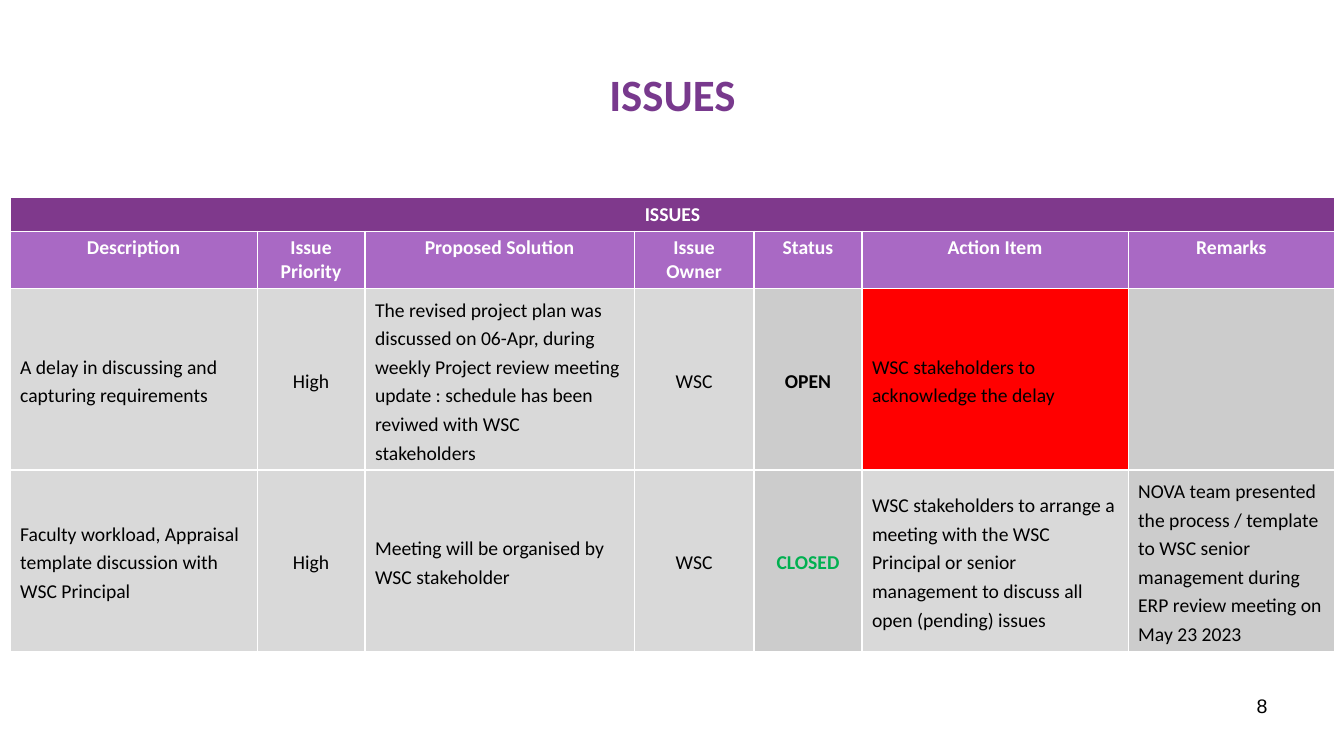
"""Build the project issues slide with its status table."""
import pptx
import pptx.dml.color
import pptx.enum.text
import pptx.oxml
import pptx.oxml.ns
import pptx.util

Inches = pptx.util.Inches
RGBColor = pptx.dml.color.RGBColor
ALIGN = pptx.enum.text.PP_ALIGN
ANCHOR = pptx.enum.text.MSO_ANCHOR

TITLE_PURPLE = RGBColor(0x78, 0x39, 0x8D)
BANNER_PURPLE = RGBColor(0x7F, 0x39, 0x8C)
HEADER_PURPLE = RGBColor(0xA9, 0x69, 0xC4)
LIGHT_GRAY = RGBColor(0xD9, 0xD9, 0xD9)
MID_GRAY = RGBColor(0xCC, 0xCC, 0xCC)
RED = RGBColor(0xFF, 0x00, 0x00)
GREEN = RGBColor(0x00, 0xB0, 0x50)
BLACK = RGBColor(0x00, 0x00, 0x00)
WHITE = RGBColor(0xFF, 0xFF, 0xFF)

COLUMN_WIDTHS = [2.45, 1.07, 2.67, 1.19, 1.07, 2.64, 2.05]
ROW_HEIGHTS = [0.33, 0.57, 1.8, 1.8]
CENTERED_COLUMNS = (1, 3, 4)
STATUS_COLUMN, ACTION_COLUMN, REMARKS_COLUMN = 4, 5, 6
STATUS_COLORS = {"OPEN": BLACK, "CLOSED": GREEN}
ROWS = [
    ["ISSUES", "", "", "", "", "", ""],
    ["Description", "Issue Priority", "Proposed Solution", "Issue Owner",
     "Status", "Action Item", "Remarks"],
    ["A delay in discussing and capturing requirements", "High",
     "The revised project plan was discussed on 06-Apr, during weekly Project review meeting\n"
     "update : schedule has been reviwed with WSC stakeholders",
     "WSC", "OPEN", "WSC stakeholders to acknowledge the delay", ""],
    ["Faculty workload, Appraisal template discussion with WSC Principal", "High",
     "Meeting will be organised by WSC stakeholder", "WSC", "CLOSED",
     "WSC stakeholders to arrange a meeting with the WSC Principal or senior "
     "management to discuss all open (pending) issues",
     "NOVA team presented the process / template to WSC senior management "
     "during ERP review meeting on May 23 2023"],
]


def write_text(text_frame, text, size, color, bold, alignment, font="Calibri", spacing=None):
    text_frame.text = text
    text_frame.word_wrap = True
    for paragraph in text_frame.paragraphs:
        paragraph.alignment = alignment
        paragraph.line_spacing = spacing
        for run in paragraph.runs:
            run.font.name = font
            run.font.size = pptx.util.Pt(size)
            run.font.bold = bold
            run.font.color.rgb = color


def add_borders(cell):
    properties = cell._tc.get_or_add_tcPr()
    for side in ("lnL", "lnR", "lnT", "lnB"):
        properties.append(pptx.oxml.parse_xml(
            f'<a:{side} {pptx.oxml.ns.nsdecls("a")} w="12700"><a:solidFill>'
            f'<a:srgbClr val="{WHITE}"/></a:solidFill></a:{side}>'))


presentation = pptx.Presentation()
presentation.slide_width = Inches(13.33)
presentation.slide_height = Inches(7.5)
slide = presentation.slides.add_slide(presentation.slide_layouts[6])

title = slide.shapes.add_textbox(Inches(0.67), Inches(0.3), Inches(12), Inches(1.25))
write_text(title.text_frame, "ISSUES", 32, TITLE_PURPLE, True, ALIGN.CENTER)
title.text_frame.vertical_anchor = ANCHOR.MIDDLE

page_number = slide.shapes.add_textbox(Inches(9.56), Inches(6.83), Inches(3.11), Inches(0.52))
write_text(page_number.text_frame, "8", 14, BLACK, False, ALIGN.RIGHT, "Arial")

table = slide.shapes.add_table(
    len(ROWS), len(COLUMN_WIDTHS), Inches(0.1), Inches(1.96),
    Inches(sum(COLUMN_WIDTHS)), Inches(sum(ROW_HEIGHTS))).table
for column, width in zip(table.columns, COLUMN_WIDTHS):
    column.width = Inches(width)
for row, height in zip(table.rows, ROW_HEIGHTS):
    row.height = Inches(height)
table.cell(0, 0).merge(table.cell(0, len(COLUMN_WIDTHS) - 1))

for row_index, texts in enumerate(ROWS):
    for column_index, text in enumerate(texts):
        cell = table.cell(row_index, column_index)
        is_heading = row_index < 2
        is_status = column_index == STATUS_COLUMN
        if is_heading:
            fill = BANNER_PURPLE if row_index == 0 else HEADER_PURPLE
            color = WHITE
        else:
            fill = MID_GRAY if column_index in (STATUS_COLUMN, REMARKS_COLUMN) else LIGHT_GRAY
            if (row_index, column_index) == (2, ACTION_COLUMN):
                fill = RED
            color = STATUS_COLORS.get(text, BLACK)
            cell.vertical_anchor = ANCHOR.MIDDLE
        centered = is_heading or column_index in CENTERED_COLUMNS
        write_text(cell.text_frame, text, 14, color, is_heading or is_status,
                   ALIGN.CENTER if centered else ALIGN.LEFT,
                   spacing=None if is_heading else 1.2)
        add_borders(cell)
        cell.fill.solid()
        cell.fill.fore_color.rgb = fill

presentation.save("out.pptx")
